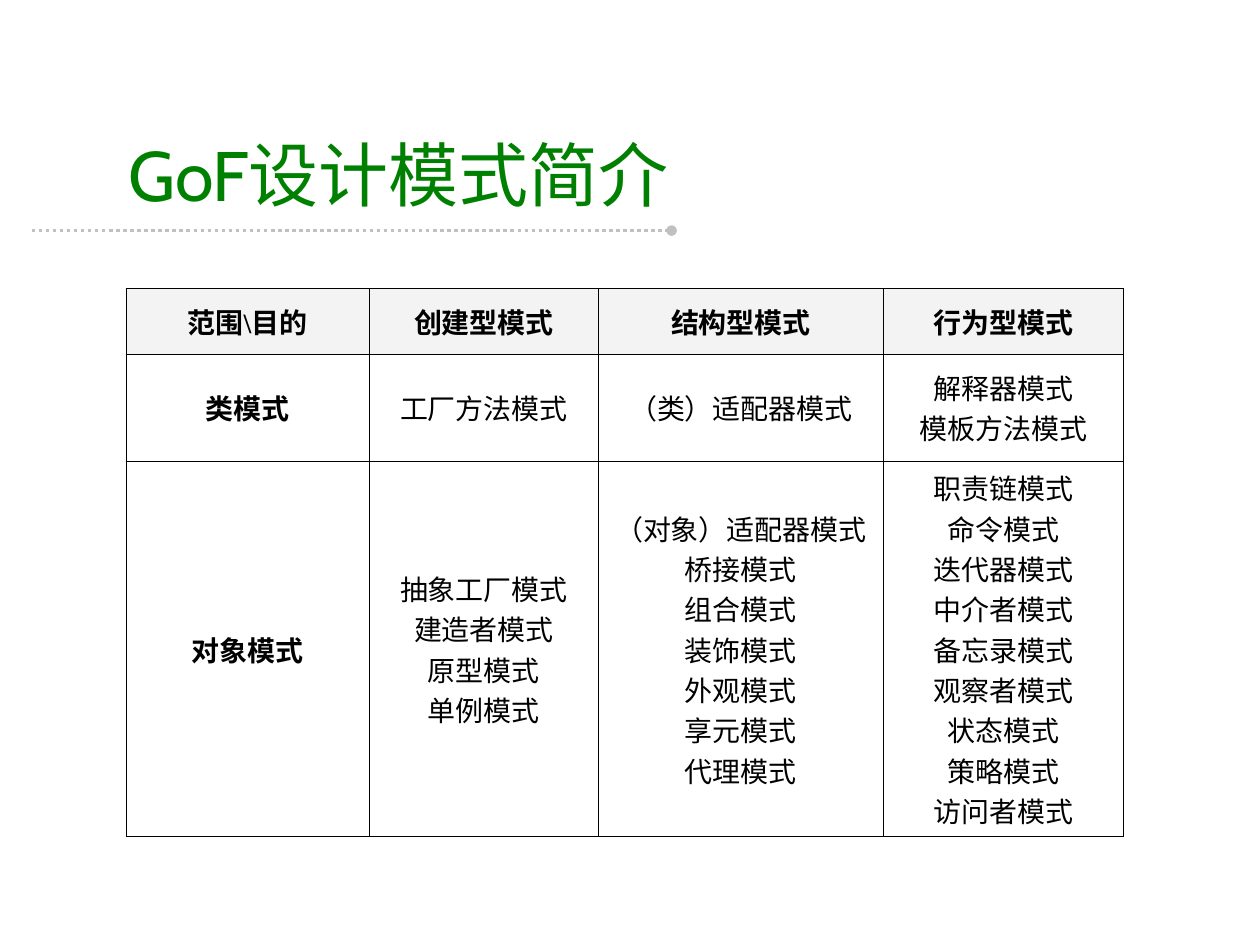
from lxml import etree
from pptx import Presentation
from pptx.dml.color import RGBColor
from pptx.enum.dml import MSO_LINE
from pptx.enum.shapes import MSO_CONNECTOR
from pptx.enum.text import MSO_ANCHOR, MSO_AUTO_SIZE, PP_ALIGN
from pptx.oxml import parse_xml
from pptx.oxml.ns import nsdecls, qn
from pptx.util import Inches, Pt

STRAIGHT = MSO_CONNECTOR.STRAIGHT
DOTTED = MSO_LINE.ROUND_DOT  # written as sysDot
MIDDLE = MSO_ANCHOR.MIDDLE
NO_AUTOFIT = MSO_AUTO_SIZE.NONE
LEFT, CENTER = PP_ALIGN.LEFT, PP_ALIGN.CENTER

COLUMN_WIDTHS = [1.93, 1.82, 2.26, 1.91]
ROW_HEIGHTS = [0.52, 0.85, 2.5]
# Each cell holds a list of lines
PATTERNS = [
    [["范围\\目的"], ["创建型模式"], ["结构型模式"], ["行为型模式"]],
    [["类模式"], ["工厂方法模式"], ["（类）适配器模式"], ["解释器模式", "模板方法模式"]],
    [
        ["对象模式"],
        ["抽象工厂模式", "建造者模式", "原型模式", "单例模式"],
        ["（对象）适配器模式", "桥接模式", "组合模式", "装饰模式",
         "外观模式", "享元模式", "代理模式"],
        ["职责链模式", "命令模式", "迭代器模式", "中介者模式", "备忘录模式",
         "观察者模式", "状态模式", "策略模式", "访问者模式"],
    ],
]


def color(value):
    return RGBColor.from_string(value)


def set_font(font, hex_color, **values):
    for name, value in values.items():
        setattr(font, name, value)
    font.color.rgb = color(hex_color)


deck = Presentation()
deck.slide_width, deck.slide_height = Inches(10), Inches(7.5)
page = deck.slides.add_slide(deck.slide_layouts[5])

# Title
title = page.shapes.title
title.left, title.top = Inches(0.92), Inches(1)
title.width, title.height = Inches(5), Inches(0.75)
title.text_frame.text = "GoF设计模式简介"
title.text_frame.auto_size = NO_AUTOFIT
title.text_frame.vertical_anchor = MIDDLE
para = title.text_frame.paragraphs[0]
para.alignment = LEFT
set_font(para.runs[0].font, "008000", name="Cabin", size=Pt(40))

# Dotted rule ending in a dot
rule = page.shapes.add_connector(
    STRAIGHT, Inches(0.25), Inches(1.83), Inches(5.33), Inches(1.83))
rule.line.color.rgb = color("C0C0C0")
rule.line.width = Pt(2)
rule.line.dash_style = DOTTED
etree.SubElement(rule.line._get_or_add_ln(), qn("a:tailEnd"), type="oval")
etree.SubElement(rule._element.spPr, qn("a:effectLst"))

# Pattern table
table = page.shapes.add_table(
    len(ROW_HEIGHTS), len(COLUMN_WIDTHS), Inches(1), Inches(2.29),
    Inches(sum(COLUMN_WIDTHS)), Inches(sum(ROW_HEIGHTS))).table
table.first_row = table.horz_banding = False
for column, width in zip(table.columns, COLUMN_WIDTHS):
    column.width = Inches(width)
for row, height in zip(table.rows, ROW_HEIGHTS):
    row.height = Inches(height)

for row_index, row_cells in enumerate(PATTERNS):
    for column_index, lines in enumerate(row_cells):
        cell = table.cell(row_index, column_index)
        cell.vertical_anchor = MIDDLE
        if row_index == 0:
            cell.fill.solid()
            cell.fill.fore_color.rgb = color("F3F3F3")
        else:
            cell.fill.background()

        # Thin black borders, placed before the fill
        properties = cell._tc.get_or_add_tcPr()
        for position, side in enumerate("LRTB"):
            properties.insert(position, parse_xml(
                f'<a:ln{side} {nsdecls("a")} w="{Pt(0.45)}"><a:solidFill>'
                f'<a:srgbClr val="000000"/></a:solidFill></a:ln{side}>'))

        # Centred lines, bold in the header row and first column
        cell.text_frame.text = "\n".join(lines)
        for para in cell.text_frame.paragraphs:
            para.alignment = CENTER
            indent = para._p.get_or_add_pPr()
            indent.set("marL", str(Inches(0.38)))
            indent.set("indent", str(Inches(-0.38)))
            set_font(para.runs[0].font, "000000", name="Times New Roman",
                     size=Pt(16), bold=row_index == 0 or column_index == 0)

deck.save("out.pptx")
